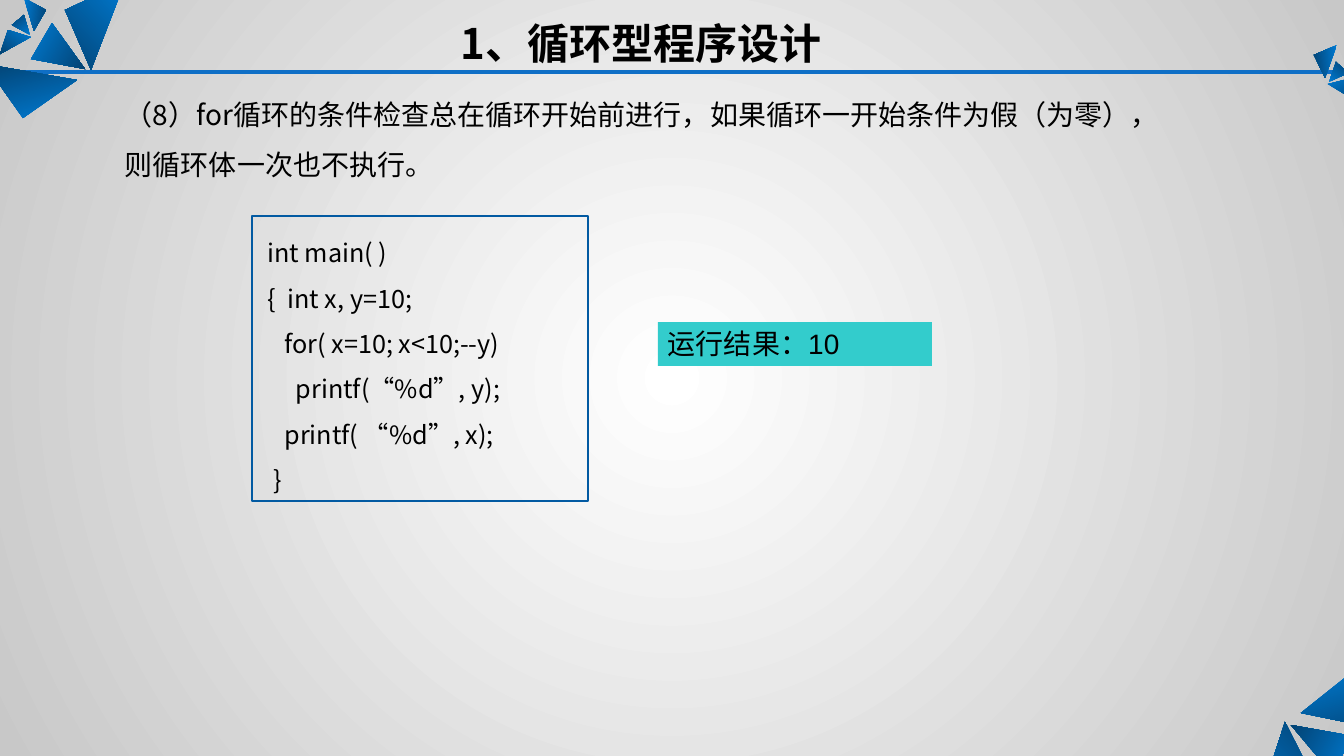
import pptx
import pptx.util
import pptx.dml.color
import pptx.enum.shapes
import pptx.enum.text
import pptx.oxml.ns
from lxml import etree

PX = 9525 * 20 / 21  # EMU per px, at 100.8 px to the inch
FONT = "Noto Sans CJK SC"
COLORS = {
    "text": "000000", "rule": "0F6FC6", "frame": "025AA2", "result": "33CCCC",
    "light": "007BD3", "dark": "034373", "centre": "FFFFFF", "edge": "C8C8C8",
}
qn = pptx.oxml.ns.qn
Pt = pptx.util.Pt
align = pptx.enum.text.PP_ALIGN
anchor = pptx.enum.text.MSO_ANCHOR
rect = pptx.enum.shapes.MSO_SHAPE.RECTANGLE


def rgb(name):
    return pptx.dml.color.RGBColor.from_string(COLORS[name])


def write(shape, lines, size, bold=False, side=align.LEFT, gap=1.0,
          hold=anchor.TOP):
    """Fill a shape with one paragraph a line, all in one style."""
    frame = shape.text_frame
    frame.word_wrap = True
    frame.vertical_anchor = hold
    for i, line in enumerate(lines):
        para = frame.add_paragraph() if i else frame.paragraphs[0]
        para.add_run().text = line
        para.alignment = side
        para.line_spacing = gap
        font = para.font
        font.size = Pt(size)
        font.bold = bold
        font.color.rgb = rgb("text")
        font.name = FONT
        latin = para._p.pPr.find(qn("a:defRPr")).find(qn("a:latin"))
        latin.addnext(latin.makeelement(qn("a:ea"), typeface=FONT))


deck = pptx.Presentation()
deck.slide_width = round(1344 * PX)
deck.slide_height = round(756 * PX)
slide = deck.slides.add_slide(deck.slide_layouts[6])
shapes = slide.shapes

# Background: white centre fading outwards
back = slide.background.fill
back.gradient()
for stop, name in zip(back.gradient_stops, ("centre", "edge")):
    stop.color.rgb = rgb(name)
lin = next(slide.background._cSld.iter(qn("a:lin")))
glow = lin.makeelement(qn("a:path"), path="circle")
etree.SubElement(glow, qn("a:fillToRect"), l="50000", t="50000",
                 r="50000", b="50000")
lin.getparent().replace(lin, glow)

# Rule under the title
ends = [round(v * PX) for v in (3, 72, 1349, 72)]
rule = shapes.add_connector(pptx.enum.shapes.MSO_CONNECTOR.STRAIGHT, *ends)
rule.line.color.rgb = rgb("rule")
rule.line.width = Pt(2.25)
etree.SubElement(rule._element.spPr, qn("a:effectLst"))

# Corner shards: turn of the gradient, then the three corners
shards = [
    (224, (1254, 817), (1285, 722), (1319, 789)),
    (119, (1353, 736), (1291, 725), (1332, 774)),
    (344, (1356, 669), (1301, 713), (1399, 733)),
    (46, (125, -18), (91, 70), (65, 10)),
    (300, (31, 59), (85, 69), (52, 23)),
    (165, (23, 118), (77, 80), (-15, 64)),
    (38, (0, 54), (31, 37), (8, 30)),
    (143, (24, 15), (30, 35), (12, 25)),
    (279, (46, 10), (34, 31), (24, -2)),
    (325, (1358, 102), (1328, 84), (1352, 78)),
    (220, (1336, 62), (1329, 82), (1348, 73)),
    (84, (1314, 55), (1325, 78), (1337, 45)),
]
for turn, first, *rest in shards:
    path = shapes.build_freeform(*first, scale=PX)
    path.add_line_segments(rest, close=True)
    shard = path.convert_to_shape()
    shard.shadow.inherit = False
    shard.line.fill.background()
    shard.fill.gradient()
    shard.fill.gradient_angle = (270 - turn) % 360
    for stop, name in zip(shard.fill.gradient_stops, ("light", "dark")):
        stop.color.rgb = rgb(name)

# Code frame
code = shapes.add_shape(rect, *[round(v * PX) for v in (252, 216, 336, 285)])
code.shadow.inherit = False
code.fill.background()
code.line.color.rgb = rgb("frame")
code.line.width = Pt(1.75)
write(code, [
    " int main( )",
    " {  int x, y=10;",
    "    for( x=10; x<10;--y)",
    "      printf(“%d”, y);",
    "    printf( “%d”, x);",
    "  }",
], 18, gap=1.5, hold=anchor.MIDDLE)

# Title and statement
title = shapes.add_textbox(*[round(v * PX) for v in (64, 13, 1154, 61)])
write(title, ["1、循环型程序设计"], 30, bold=True, side=align.CENTER)
note = shapes.add_textbox(*[round(v * PX) for v in (115, 75, 1050, 112)])
write(note, ["（8）for循环的条件检查总在循环开始前进行，如果循环一开始条件为假"
             "（为零），则循环体一次也不执行。"], 20, gap=1.5, hold=anchor.MIDDLE)

# Result
result = shapes.add_shape(rect, *[round(v * PX) for v in (658, 322, 274, 44)])
result.shadow.inherit = False
result.fill.solid()
result.fill.fore_color.rgb = rgb("result")
result.line.fill.background()
write(result, ["运行结果："], 20)
value = result.text_frame.paragraphs[0].add_run()
value.text = "10"
value.font.name = "Arial"

deck.save("out.pptx")
